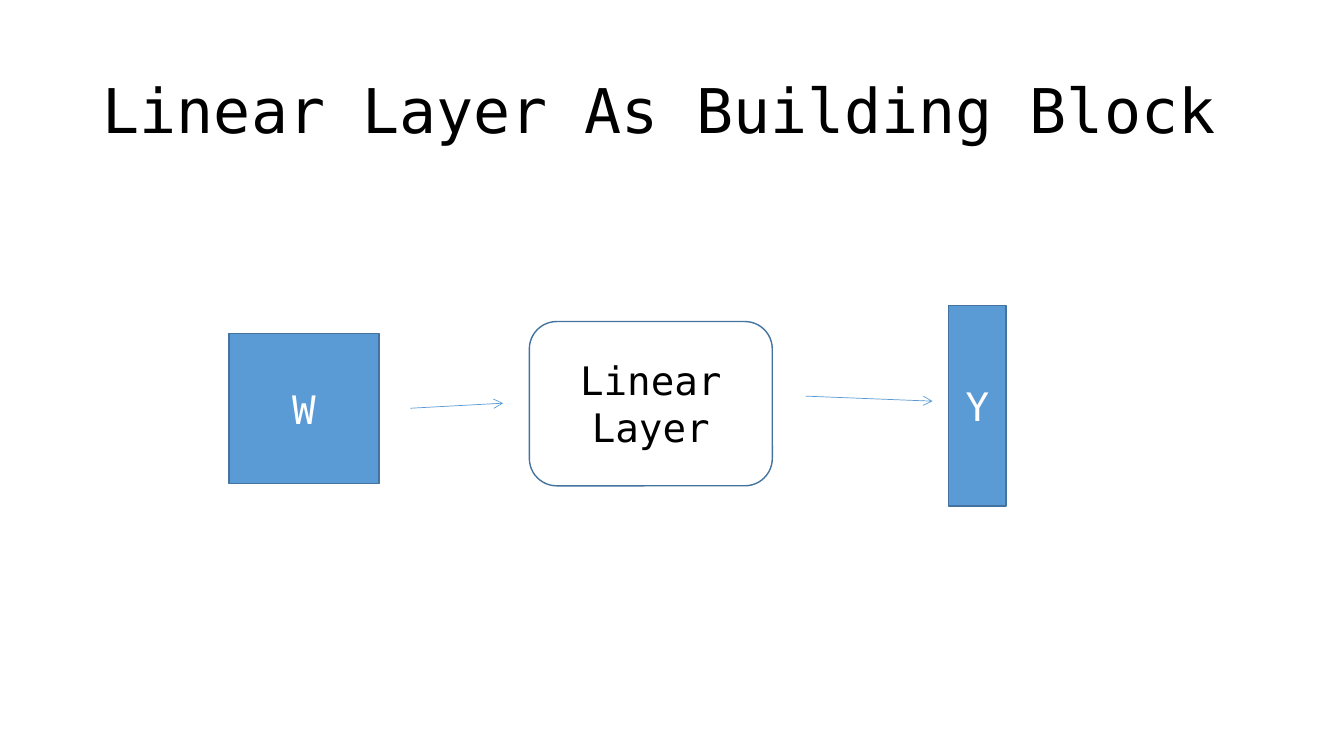
from pptx import Presentation
from pptx.dml.color import RGBColor
from pptx.enum import shapes, text
from pptx.oxml.ns import qn
from pptx.util import Inches, Pt
from lxml import etree

FONT = "DejaVu Sans Mono"
BLUE, EDGE, BLACK, WHITE = "5B9BD5", "43739E", "000000", "FFFFFF"


def color(code):
    return RGBColor.from_string(code)


def write(frame, lines, size, ink, align):
    frame.word_wrap = True
    frame.vertical_anchor = text.MSO_ANCHOR.MIDDLE
    for i, line in enumerate(lines):
        par = frame.paragraphs[0] if i == 0 else frame.add_paragraph()
        par.text = line
        par.alignment = align
        par.font.name = FONT
        par.font.size = Pt(size)
        par.font.color.rgb = color(ink)


def block(slide, kind, left, top, width, height, lines, ink, fill=None):
    shape = slide.shapes.add_shape(
        kind, Inches(left), Inches(top), Inches(width), Inches(height))
    shape.shadow.inherit = False
    if fill:
        shape.fill.solid()
        shape.fill.fore_color.rgb = color(fill)
    else:
        shape.fill.background()
    shape.line.color.rgb = color(EDGE)
    shape.line.width = Pt(1)
    write(shape.text_frame, lines, 28, ink, text.PP_ALIGN.CENTER)


def arrow(slide, x1, y1, x2, y2):
    link = slide.shapes.add_connector(
        shapes.MSO_CONNECTOR.STRAIGHT,
        Inches(x1), Inches(y1), Inches(x2), Inches(y2))
    link.line.color.rgb = color(BLUE)
    link.line.width = Pt(0.5)
    etree.SubElement(link.line._get_or_add_ln(), qn("a:tailEnd"), type="arrow")
    etree.SubElement(link._element.spPr, qn("a:effectLst"))


def title(slide, left, top, width, height):
    box = slide.shapes.add_textbox(
        Inches(left), Inches(top), Inches(width), Inches(height))
    write(box.text_frame, ["Linear Layer As Building Block"], 44, BLACK,
          text.PP_ALIGN.LEFT)
    box.text_frame.paragraphs[0].line_spacing = 0.9


def flow(slide, left, top, width, height):
    rect = shapes.MSO_SHAPE.RECTANGLE
    # Weights, layer and output
    block(slide, rect, left, top + 0.28, 1.49, 1.49, ["W"], WHITE, BLUE)
    block(slide, rect, left + width - 0.57, top, 0.57, height,
          ["Y"], WHITE, BLUE)
    block(slide, shapes.MSO_SHAPE.ROUNDED_RECTANGLE, left + 2.98, top + 0.16,
          2.41, 1.63, ["Linear", "Layer"], BLACK)
    # Arrows between the blocks
    for x1, y1, x2, y2 in [(1.8, 1.02, 2.72, 0.97), (5.72, 0.9, 6.98, 0.95)]:
        arrow(slide, left + x1, top + y1, left + x2, top + y2)


def main():
    deck = Presentation()
    deck.slide_width, deck.slide_height = Inches(13.33), Inches(7.5)
    slide = deck.slides.add_slide(deck.slide_layouts[6])
    title(slide, 0.92, 0.4, 11.5, 1.45)
    flow(slide, 2.27, 3.03, 7.71, 1.99)
    deck.save("out.pptx")


if __name__ == "__main__":
    main()
